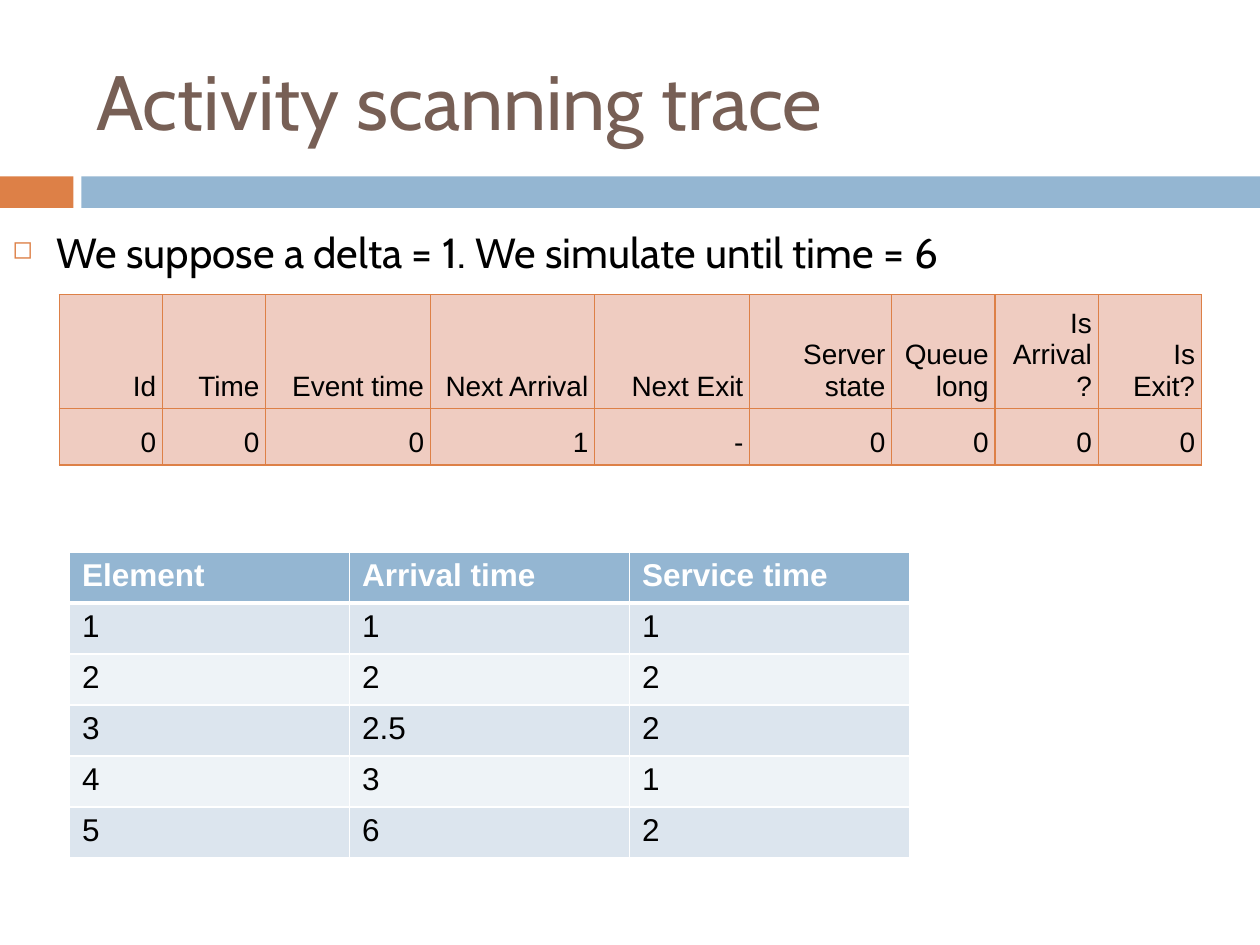
import pptx
import pptx.util
import pptx.dml.color
import pptx.enum.shapes
import pptx.enum.text
import pptx.oxml
import pptx.oxml.ns
import lxml.etree

Pt = pptx.util.Pt
ANCHOR = pptx.enum.text.MSO_ANCHOR
ALIGN = pptx.enum.text.PP_ALIGN
HUES = {
    "title": "775F55", "text": "000000", "white": "FFFFFF",
    "orange": "DD8047", "blue": "94B6D2", "rose": "EFCCC1",
    "dark": "DCE5EE", "light": "EEF3F7",
}
TRACE = [
    ["Id", "Time", "Event time", "Next Arrival", "Next Exit",
     "Server state", "Queue long", "Is Arrival?", "Is Exit?"],
    ["0", "0", "0", "1", "-", "0", "0", "0", "0"],
]
TIMES = [
    ["Element", "Arrival time", "Service time"],
    ["1", "1", "1"], ["2", "2", "2"], ["3", "2.5", "2"],
    ["4", "3", "1"], ["5", "6", "2"],
]


def color(name):
    return pptx.dml.color.RGBColor.from_string(HUES[name])


def add_run(par, text, size, font, hue, bold=False):
    run = par.add_run()
    run.text = text
    run.font.size = Pt(size)
    run.font.name = font
    run.font.bold = bold
    run.font.color.rgb = color(hue)


def add_text(slide, box, text, size, hue, anchor):
    frame = slide.shapes.add_textbox(*map(Pt, box)).text_frame
    frame.word_wrap = True
    frame.vertical_anchor = anchor
    par = frame.paragraphs[0]
    add_run(par, text, size, "Cabin", hue)
    return par


def add_band(slide, box):
    """Orange block, a gap, then a blue bar to the right edge."""
    left, top, width, height = box
    block, start = 42, 46.5
    for hue, x, wide in (("orange", 0, block), ("blue", start, width - start)):
        bar = slide.shapes.add_shape(
            pptx.enum.shapes.MSO_SHAPE.RECTANGLE,
            Pt(left + x), Pt(top), Pt(wide), Pt(height))
        bar.shadow.inherit = False
        bar.fill.solid()
        bar.fill.fore_color.rgb = color(hue)
        bar.line.fill.background()


def add_point(slide, box, text):
    """Body line with a small hollow square as bullet."""
    par = add_text(slide, box, text, 24, "text", ANCHOR.TOP)
    par.space_before = Pt(7)
    props = par._p.get_or_add_pPr()
    props.set("marL", str(Pt(25.2)))
    props.set("indent", str(-Pt(25.2)))
    space = pptx.oxml.ns.nsdecls("a")
    for part in (
        f'<a:buClr {space}><a:srgbClr val="{HUES["orange"]}"/></a:buClr>',
        f'<a:buSzPct {space} val="60000"/>',
        f'<a:buChar {space} char="\u25fb"/>',
    ):
        props.append(pptx.oxml.parse_xml(part))


def add_edges(cell, hue, widths):
    """Cell borders; widths run left, right, top, bottom."""
    props = cell._tc.get_or_add_tcPr()
    name = pptx.oxml.ns.qn
    for side, width in zip("LRTB", widths):
        line = lxml.etree.SubElement(props, name(f"a:ln{side}"), w=str(Pt(width)))
        fill = lxml.etree.SubElement(line, name("a:solidFill"))
        lxml.etree.SubElement(fill, name("a:srgbClr"), val=HUES[hue])


def add_grid(slide, box, rows, cols, highs, style):
    """Table whose cells are dressed by style(cell, row, text)."""
    table = slide.shapes.add_table(
        len(rows), len(cols), *map(Pt, box)).table
    table.first_row = table.horz_banding = False
    for col, wide in zip(table.columns, cols):
        col.width = Pt(wide)
    for row, high in zip(table.rows, highs):
        row.height = Pt(high)
    for r, row in enumerate(rows):
        for c, text in enumerate(row):
            style(table.cell(r, c), r, text)


def paint(cell, hue):
    cell.fill.solid()
    cell.fill.fore_color.rgb = color(hue)


def style_trace(cell, row, text):
    cell.margin_left = cell.margin_right = Pt(3.6)
    cell.margin_top = cell.margin_bottom = Pt(3.6)
    cell.vertical_anchor = ANCHOR.BOTTOM
    par = cell.text_frame.paragraphs[0]
    par.alignment = ALIGN.RIGHT
    add_run(par, text, 16, "Arial", "text")
    add_edges(cell, "orange", [0.79] * 4)
    paint(cell, "rose")


def style_times(cell, row, text):
    head = row == 0
    add_run(cell.text_frame.paragraphs[0], text, 18, "Arial",
            "white" if head else "text", head)
    add_edges(cell, "white", [1, 1, 3 if row == 1 else 1, 3 if head else 1])
    paint(cell, "blue" if head else "dark" if row % 2 else "light")


def add_trace(slide, box):
    cols = [59, 59, 94.2, 93.8, 88.6, 81.2, 59, 59, 59]
    add_grid(slide, box, TRACE, cols, [60.5, 32.5], style_trace)


def add_times(slide, box):
    cols = [box[2] / 3] * 3
    highs = [box[3] / len(TIMES)] * len(TIMES)
    add_grid(slide, box, TIMES, cols, highs, style_times)


deck = pptx.Presentation()
deck.slide_width, deck.slide_height = Pt(720), Pt(540)
slide = deck.slides.add_slide(deck.slide_layouts[6])

# Heading
add_band(slide, (0, 100.8, 720, 18))
add_text(slide, (48, 18, 642, 78), "Activity scanning trace", 44, "title",
         ANCHOR.MIDDLE)

# Body
add_trace(slide, (33.8, 168.5, 652.8, 93))
add_point(slide, (0, 126, 572, 53),
          "We suppose a delta = 1. We simulate until time = 6")
add_times(slide, (39.8, 315.4, 480, 175))

deck.save("out.pptx")
